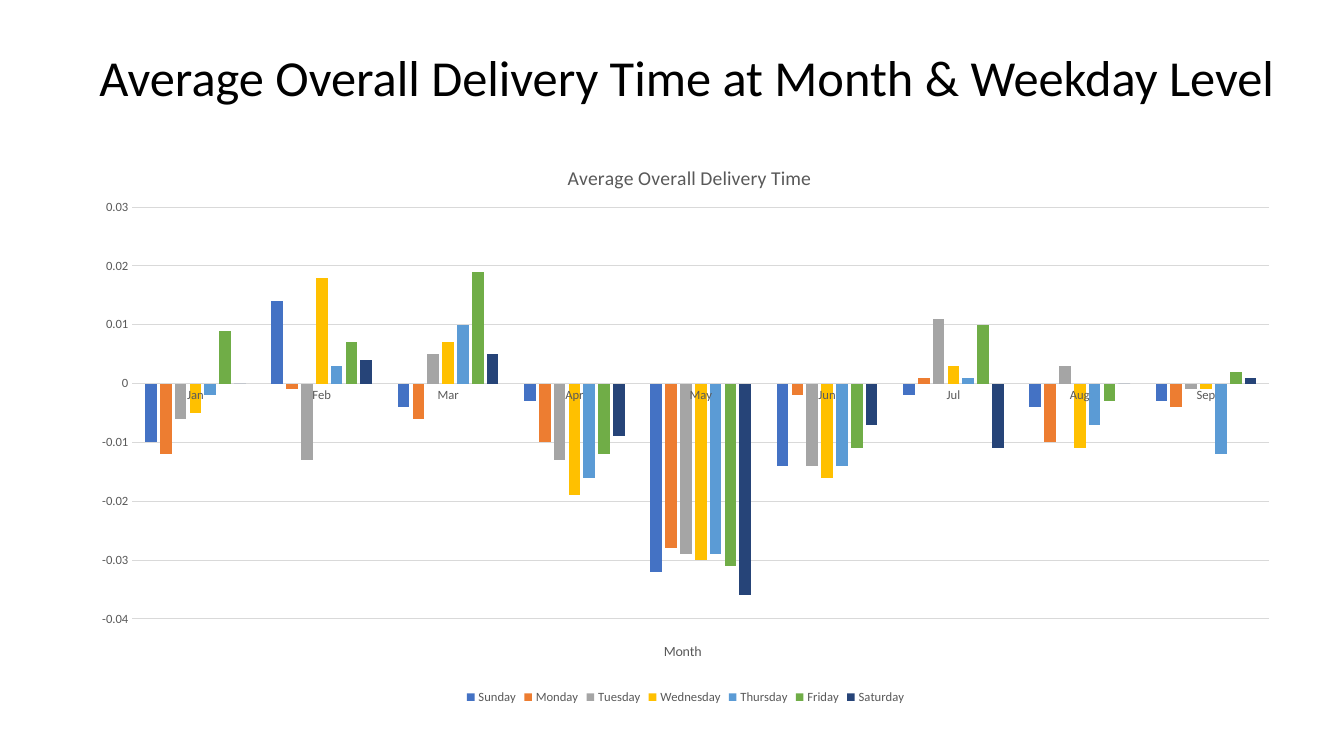
from lxml.etree import SubElement
from pptx import Presentation
from pptx.chart.data import CategoryChartData
from pptx.dml.color import RGBColor
from pptx.enum.chart import XL_CHART_TYPE, XL_LEGEND_POSITION, XL_TICK_MARK
from pptx.enum.text import MSO_ANCHOR, PP_ALIGN
from pptx.oxml.ns import qn
from pptx.util import Inches, Pt

HEADING = "Average Overall Delivery Time at Month & Weekday Level"
CHART_TITLE = "Average Overall Delivery Time"
AXIS_TITLE = "Month"
MONTHS = ["Jan", "Feb", "Mar", "Apr", "May", "Jun", "Jul", "Aug", "Sep"]

FONT = "Calibri"
BLACK = RGBColor(0x00, 0x00, 0x00)
GRAY = RGBColor(0x59, 0x59, 0x59)
LIGHT_GRAY = RGBColor(0xD9, 0xD9, 0xD9)
BLUE = RGBColor(0x44, 0x72, 0xC4)
ORANGE = RGBColor(0xED, 0x7D, 0x31)
SILVER = RGBColor(0xA5, 0xA5, 0xA5)
GOLD = RGBColor(0xFF, 0xC0, 0x00)
SKY = RGBColor(0x5B, 0x9B, 0xD5)
GREEN = RGBColor(0x70, 0xAD, 0x47)
NAVY = RGBColor(0x26, 0x44, 0x78)

WEEKDAYS = [
    ("Sunday", BLUE, [-0.01, 0.014, -0.004, -0.003, -0.032, -0.014, -0.002, -0.004, -0.003]),
    ("Monday", ORANGE, [-0.012, -0.001, -0.006, -0.01, -0.028, -0.002, 0.001, -0.01, -0.004]),
    ("Tuesday", SILVER, [-0.006, -0.013, 0.005, -0.013, -0.029, -0.014, 0.011, 0.003, -0.001]),
    ("Wednesday", GOLD, [-0.005, 0.018, 0.007, -0.019, -0.03, -0.016, 0.003, -0.011, -0.001]),
    ("Thursday", SKY, [-0.002, 0.003, 0.01, -0.016, -0.029, -0.014, 0.001, -0.007, -0.012]),
    ("Friday", GREEN, [0.009, 0.007, 0.019, -0.012, -0.031, -0.011, 0.01, -0.003, 0.002]),
    ("Saturday", NAVY, [0, 0.004, 0.005, -0.009, -0.036, -0.007, -0.011, 0, 0.001]),
]


def style_font(font, size, color):
    font.name = FONT
    font.size = Pt(size)
    font.bold = False
    font.color.rgb = color


def style_line(line, color):
    line.color.rgb = color
    line.width = Pt(0.75)


def set_layout(parent, index, settings):
    layout = parent.find(qn("c:layout"))
    if layout is None:
        layout = SubElement(parent, qn("c:layout"))
        parent.insert(index, layout)
    manual = SubElement(layout, qn("c:manualLayout"))
    for name, value in settings:
        SubElement(manual, qn(f"c:{name}")).set("val", str(value))


def write_title(title, text, size, left, top):
    title.text_frame.text = text
    style_font(title.text_frame.paragraphs[0].runs[0].font, size, GRAY)
    position = [("xMode", "edge"), ("yMode", "edge"), ("x", left), ("y", top)]
    set_layout(title._element, 1, position)


def add_heading(slide):
    heading = slide.shapes.add_textbox(Inches(0.58), Inches(0.22), Inches(12.47), Inches(1.15))
    text_frame = heading.text_frame
    text_frame.word_wrap = True
    text_frame.vertical_anchor = MSO_ANCHOR.MIDDLE
    text_frame.text = HEADING
    paragraph = text_frame.paragraphs[0]
    paragraph.alignment = PP_ALIGN.CENTER
    paragraph.line_spacing = 0.9
    style_font(paragraph.runs[0].font, 36, BLACK)


def add_delivery_chart(slide):
    chart_data = CategoryChartData()
    chart_data.categories = MONTHS
    for name, color, values in WEEKDAYS:
        chart_data.add_series(name, values)
    chart = slide.shapes.add_chart(
        XL_CHART_TYPE.COLUMN_CLUSTERED,
        Inches(0.77), Inches(1.37), Inches(12.06), Inches(5.66), chart_data,
    ).chart
    style_font(chart.font, 10, BLACK)
    chart.has_title = True
    write_title(chart.chart_title, CHART_TITLE, 14, 0.4, 0.04)

    plot = chart.plots[0]
    plot.gap_width = 219
    plot.overlap = -27
    plot.vary_by_categories = False
    for series, (name, color, values) in zip(plot.series, WEEKDAYS):
        series.invert_if_negative = False
        series.format.fill.solid()
        series.format.fill.fore_color.rgb = color

    month_axis, value_axis = chart.category_axis, chart.value_axis
    for axis in (month_axis, value_axis):
        axis.major_tick_mark = XL_TICK_MARK.NONE
        axis.minor_tick_mark = XL_TICK_MARK.NONE
        style_font(axis.tick_labels.font, 9, GRAY)
    style_line(month_axis.format.line, LIGHT_GRAY)
    month_axis.has_title = True
    write_title(month_axis.axis_title, AXIS_TITLE, 10, 0.48, 0.88)

    value_axis.minimum_scale = -0.04
    value_axis.maximum_scale = 0.03
    value_axis.major_unit = 0.01
    value_axis.format.line.fill.background()
    value_axis.has_major_gridlines = True
    style_line(value_axis.major_gridlines.format.line, LIGHT_GRAY)

    chart.has_legend = True
    chart.legend.position = XL_LEGEND_POSITION.BOTTOM
    chart.legend.include_in_layout = False
    style_font(chart.legend.font, 9, GRAY)

    plot_area = chart._chartSpace.chart.plotArea
    set_layout(plot_area, 0, [
        ("layoutTarget", "inner"), ("xMode", "edge"), ("yMode", "edge"),
        ("x", 0.045), ("y", 0.121), ("w", 0.935), ("h", 0.722),
    ])


def main():
    presentation = Presentation()
    presentation.slide_width = Inches(13.33)
    presentation.slide_height = Inches(7.5)
    slide = presentation.slides.add_slide(presentation.slide_layouts[6])
    add_heading(slide)
    add_delivery_chart(slide)
    presentation.save("out.pptx")


if __name__ == "__main__":
    main()
